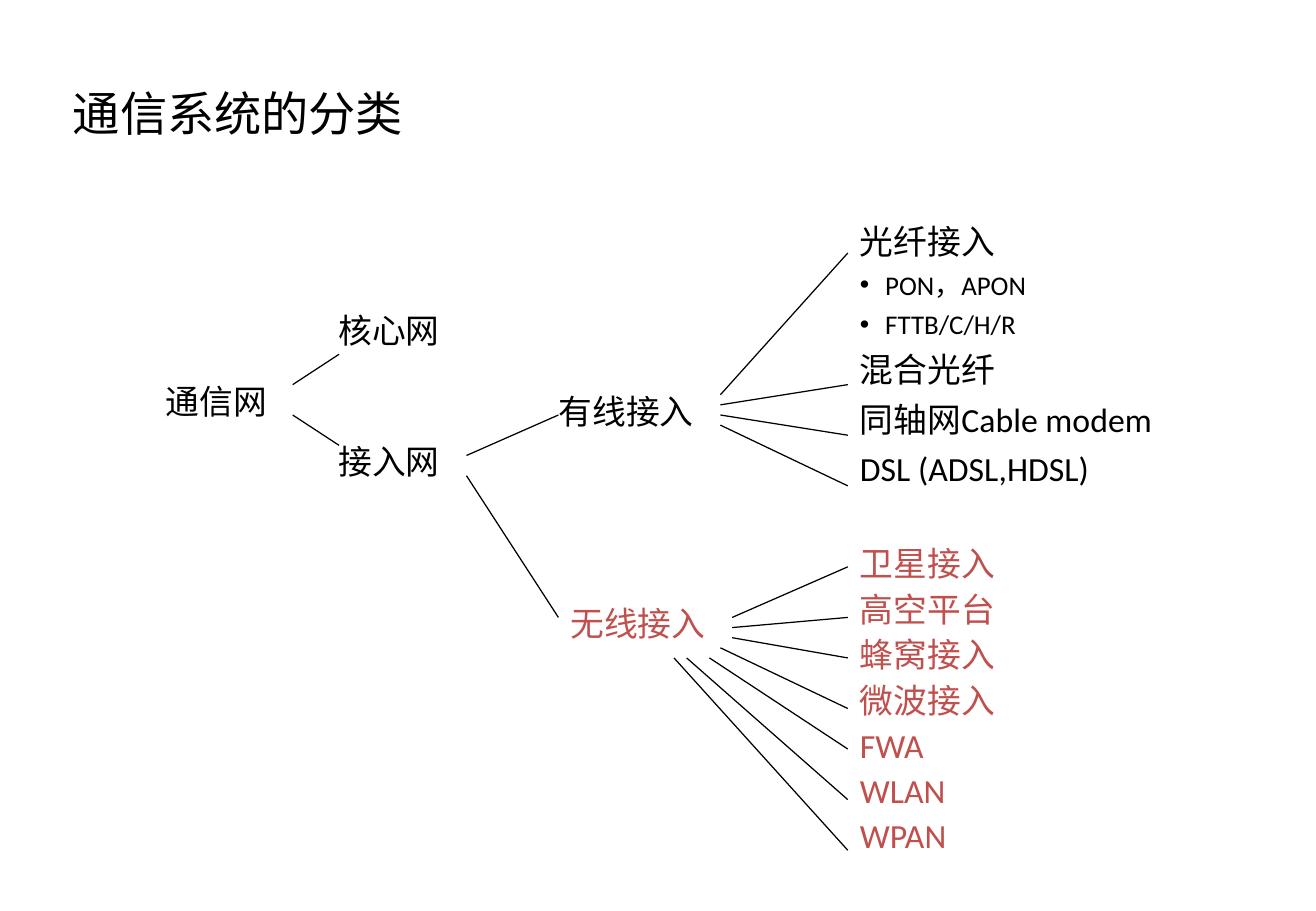
from pptx import Presentation
from pptx.dml.color import RGBColor
from pptx.enum.shapes import MSO_CONNECTOR
from pptx.enum.text import MSO_ANCHOR, MSO_AUTO_SIZE, PP_ALIGN
from pptx.oxml.ns import qn
from pptx.util import Pt
from lxml.etree import SubElement

BLACK = "000000"
RED = "C0504D"


def paint(target, hue):
    target.rgb = RGBColor.from_string(hue)


def style(para, size, hue):
    para.alignment = PP_ALIGN.LEFT
    for run in para.runs:
        run.font.name = "Calibri"
        run.font.size = Pt(size)
        paint(run.font.color, hue)


def place(shape, box):
    shape.left, shape.top, shape.width, shape.height = map(Pt, box)
    frame = shape.text_frame
    frame.word_wrap = True
    frame.auto_size = MSO_AUTO_SIZE.NONE
    return frame


def title(slide, box, text):
    frame = place(slide.shapes.title, box)
    frame.text = text
    frame.vertical_anchor = MSO_ANCHOR.MIDDLE
    style(frame.paragraphs[0], 28, BLACK)


def ray(slide, start, end):
    line = slide.shapes.add_connector(
        MSO_CONNECTOR.STRAIGHT, *map(Pt, (*start, *end)))
    line.line.width = Pt(0.75)
    paint(line.line.color, BLACK)
    SubElement(line._element.spPr, qn("a:effectLst"))


def branch(slide, box, text, hue, roots=(), reach=0, tips=()):
    left, top = box[:2]
    label = slide.shapes.add_textbox(*map(Pt, box))
    frame = place(label, box)
    frame.text = text
    style(frame.paragraphs[0], 20, hue)
    for (x, y), tip in zip(roots, tips):
        ray(slide, (left + x, top + y), (left + reach, top + tip))


def bullet(para, mark):
    props = para._p.get_or_add_pPr()
    indent = Pt(15) if mark else 0
    props.set("marL", str(indent))
    props.set("indent", str(-indent))
    if mark:
        SubElement(props, qn("a:buFont"), typeface="Arial")
        SubElement(props, qn("a:buChar"), char=mark)
    else:
        SubElement(props, qn("a:buNone"))


def leaves(holder, box, items, hue, first, rest):
    frame = place(holder, box)
    frame.vertical_anchor = MSO_ANCHOR.TOP
    frame.text = "\n".join(text for text, level in items)
    for row, (para, (text, level)) in enumerate(zip(frame.paragraphs, items)):
        size = 16 if level else 20
        para.level = level
        para.line_spacing = rest if row else first
        para.space_before = Pt(size / 2)
        style(para, size, hue)
        bullet(para, "•" if level else "")


def main():
    deck = Presentation()
    deck.slide_width, deck.slide_height = Pt(780), Pt(540)
    slide = deck.slides.add_slide(deck.slide_layouts[3])
    title(slide, (36, 21.6, 648, 90), "通信系统的分类")

    branch(slide, (91, 222, 123, 31), "通信网", BLACK,
           [(82.5, 6), (82.5, 24)], 110, [-12, 42])
    branch(slide, (193.5, 180, 123, 31), "核心网", BLACK)
    branch(slide, (193.5, 258, 96, 31), "接入网", BLACK,
           [(83, 12), (83, 24)], 137.5, [-12, 108])
    branch(slide, (324, 228, 117, 31), "有线接入", BLACK,
           [(103, 6 * n) for n in range(1, 5)], 178.5, [-78, 0, 30, 60])
    branch(slide, (331, 354, 109.5, 31), "无线接入", RED,
           [(103, 12), (103, 18), (103, 24), (96, 30),
            (89.5, 36), (76, 36), (68.5, 36)],
           171.5, [-18, 12, 36, 66, 90, 120, 150])

    wired = [("光纤接入", 0), ("PON，APON", 1), ("FTTB/C/H/R", 1),
             ("混合光纤", 0), ("同轴网Cable modem", 0), ("DSL (ADSL,HDSL)", 0)]
    radio = [(text, 0) for text in (
        "卫星接入", "高空平台", "蜂窝接入", "微波接入", "FWA", "WLAN", "WPAN")]
    upper, lower = list(slide.placeholders)[1:3]
    leaves(upper, (502.5, 132, 206, 170), wired, BLACK, 0.8, 0.8)
    leaves(lower, (502.5, 318, 199, 206), radio, RED, 1.0, 0.7)
    deck.save("out.pptx")


if __name__ == "__main__":
    main()
